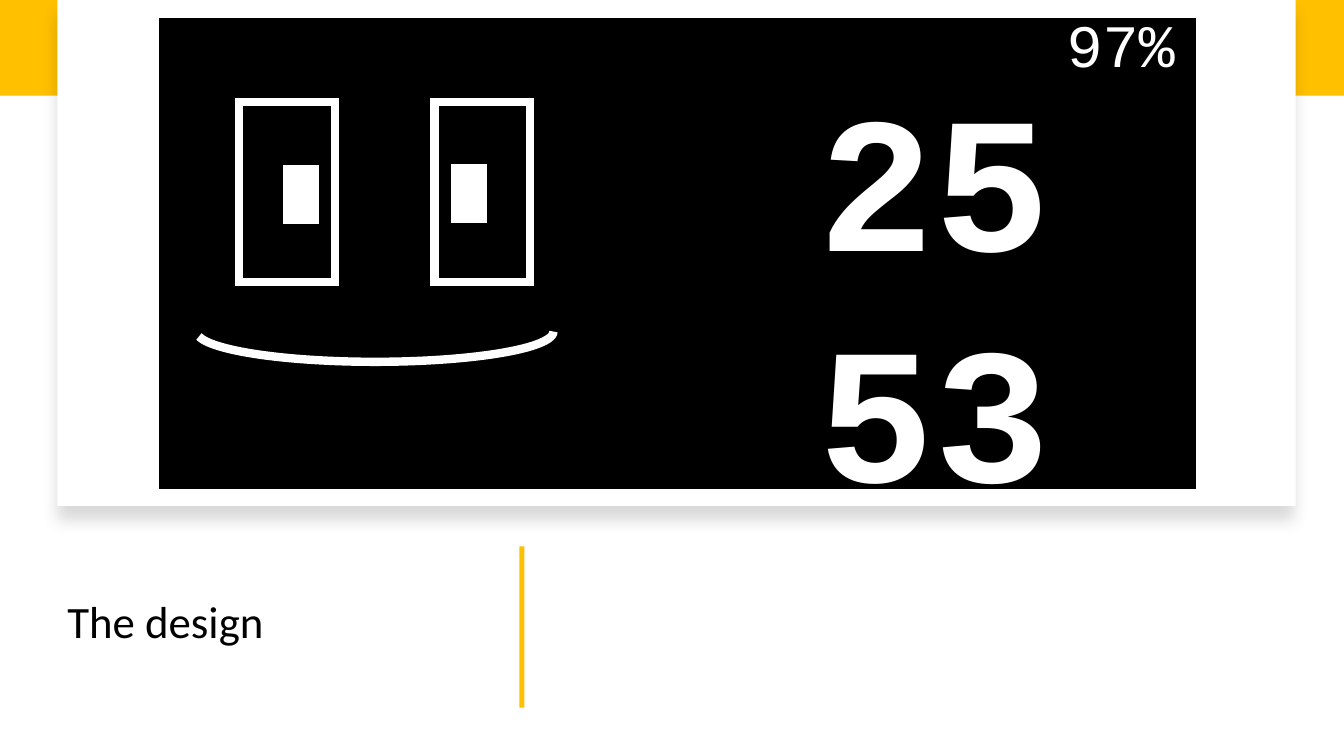
from lxml import etree
from pptx import Presentation
from pptx.dml.color import RGBColor
from pptx.enum.shapes import MSO_SHAPE as Shape
from pptx.enum.text import MSO_ANCHOR as Anchor, PP_ALIGN as Align
from pptx.oxml.ns import qn
from pptx.util import Inches, Pt

GOLD, WHITE, BLACK = "FFC000", "FFFFFF", "000000"
SANS, MONO = "Calibri", "Courier New"


def tint(code):
    return RGBColor.from_string(code)


class Board:
    """Holds the style and the place where new shapes go."""

    def __init__(self, slide):
        self.slide = slide
        self.host = slide.shapes

    def group(self):
        self.host = self.slide.shapes.add_group_shape().shapes

    def paint(self, item, fill, line, width):
        item.shadow.inherit = False
        if fill:
            item.fill.solid()
            item.fill.fore_color.rgb = tint(fill)
        else:
            item.fill.background()
        if line:
            item.line.color.rgb = tint(line)
            item.line.width = Pt(width)
            # Square corners
            edge = item._element.spPr.find(qn("a:ln"))
            etree.SubElement(edge, qn("a:miter"), lim="800000")
        else:
            item.line.fill.background()

    def rect(self, x, y, w, h, fill, line=None, width=6):
        item = self.host.add_shape(Shape.RECTANGLE, Inches(x), Inches(y),
                                   Inches(w), Inches(h))
        self.paint(item, fill, line, width)
        return item

    def smile(self, x, y, w, h, start, end):
        item = self.host.add_shape(Shape.ARC, Inches(x), Inches(y),
                                   Inches(w), Inches(h))
        item.adjustments[0] = start
        item.adjustments[1] = end
        self.paint(item, None, WHITE, 6)
        item._element.spPr.find(qn("a:xfrm")).set("flipV", "1")

    def shade(self, item, blur, dist, alpha):
        effect = item._element.spPr.find(qn("a:effectLst"))
        outer = etree.SubElement(effect, qn("a:outerShdw"), {
            "blurRad": str(Pt(blur)), "dist": str(Pt(dist)),
            "dir": "5400000", "algn": "t", "rotWithShape": "0"})
        color = etree.SubElement(outer, qn("a:srgbClr"), val=BLACK)
        etree.SubElement(color, qn("a:alpha"), val=str(alpha * 1000))

    def text(self, words, x, y, w, h, size, font, color, align=Align.LEFT,
             anchor=Anchor.TOP, space=None, top=0.05, bold=False):
        box = self.host.add_textbox(Inches(x), Inches(y), Inches(w), Inches(h))
        frame = box.text_frame
        frame.word_wrap = True
        frame.vertical_anchor = anchor
        frame.margin_top = Inches(top)
        para = frame.paragraphs[0]
        para.text = words
        para.alignment = align
        para.line_spacing = space
        for run in para.runs:
            run.font.size = Pt(size)
            run.font.name = font
            run.font.bold = bold
            run.font.color.rgb = tint(color)


def main():
    deck = Presentation()
    deck.slide_width, deck.slide_height = Inches(13.33), Inches(7.5)
    board = Board(deck.slides.add_slide(deck.slide_layouts[6]))

    # Title, gold band, white card and divider
    board.text("The design", 0.57, 5.34, 4.24, 1.7, 32, SANS, BLACK,
               anchor=Anchor.MIDDLE, space=0.9)
    board.rect(0, 0, 13.33, 0.95, GOLD)
    card = board.rect(0.57, 0, 12.28, 5.02, WHITE)
    board.shade(card, blur=11, dist=10, alpha=15)
    board.rect(5.15, 5.42, 0.05, 1.6, GOLD)

    # Screen with clock and battery level
    board.group()
    board.rect(1.58, 0.19, 10.28, 4.65, BLACK, BLACK, 1)
    board.text("25\v53", 6.67, 0.53, 5.19, 4.4, 138, MONO, WHITE,
               Align.CENTER, space=Pt(165), top=0.06, bold=True)
    board.text("97%", 6.56, 0.1, 5.19, 0.86, 43, MONO, WHITE,
               Align.RIGHT, space=Pt(43), top=0.09)

    # Face: eyes, mouth, pupils
    for x in (2.37, 4.31):
        board.rect(x, 1.01, 0.95, 1.79, BLACK, WHITE)
    board.smile(1.95, 2.99, 3.54, 0.6, 108.96, 0)
    for x, y in ((2.85, 1.68), (4.52, 1.67)):
        board.rect(x, y, 0.27, 0.5, WHITE, WHITE)

    deck.save("out.pptx")


if __name__ == "__main__":
    main()
